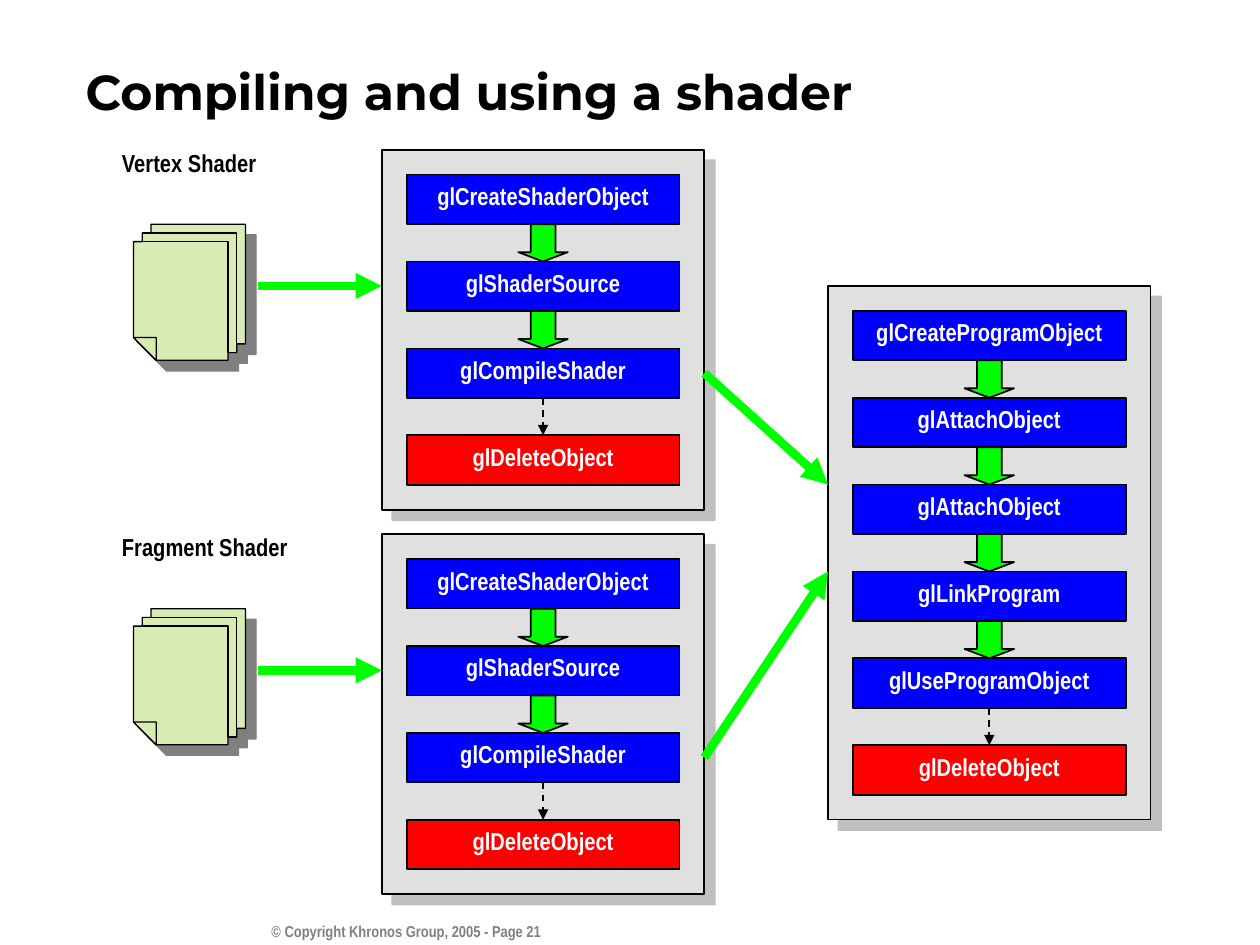
"""Build the slide on compiling and using a shader."""
from copy import deepcopy

from lxml import etree
from pptx import Presentation
from pptx.dml.color import RGBColor
from pptx.enum.dml import MSO_LINE
from pptx.enum.shapes import MSO_CONNECTOR, MSO_SHAPE
from pptx.enum.text import MSO_ANCHOR, PP_ALIGN
from pptx.oxml.ns import qn
from pptx.util import Pt

RECT, DOWN_ARROW = MSO_SHAPE.RECTANGLE, MSO_SHAPE.DOWN_ARROW
STRAIGHT, DASH = MSO_CONNECTOR.STRAIGHT, MSO_LINE.DASH
LEFT, CENTER, RIGHT = PP_ALIGN.LEFT, PP_ALIGN.CENTER, PP_ALIGN.RIGHT
TOP, MIDDLE = MSO_ANCHOR.TOP, MSO_ANCHOR.MIDDLE

COLORS = {
    "panel": "E0E0E0", "call": "0000FF", "delete": "FF0000", "flow": "00FF00",
    "paper": "D8EBB3", "black": "000000", "white": "FFFFFF", "gray": "808080",
}
TITLE = "Compiling and using a shader"
FOOTER = "© Copyright Khronos Group, 2005 - Page 21"
SHADER_CALLS = ["glCreateShaderObject", "glShaderSource", "glCompileShader", "glDeleteObject"]
PROGRAM_CALLS = ["glCreateProgramObject", "glAttachObject", "glAttachObject",
                 "glLinkProgram", "glUseProgramObject", "glDeleteObject"]
SHADERS = [("Vertex Shader", 85.6, 2), ("Fragment Shader", 305.3, 3)]
SHEETS = [
    [(0, 64.8), (0, 10), (5, 10), (5, 5), (10, 5), (10, 0), (64, 0), (64, 68.4),
     (59, 68.4), (59, 73.4), (54, 73.4), (54, 77.8), (13, 77.8)],
    [(10.8, 5), (59, 5), (59, 73.4), (54, 73.4), (54, 10), (5, 10), (5, 5)],
    [(0, 64.8), (13, 64.8), (13, 77.8)],
]

SHADER_X, PROGRAM_X, PROGRAM_Y = 218.2, 473.2, 163.4
PANEL_W, PAD, BOX_H, STEP = 184.3, 14.2, 28.3, 49.65
LABEL_X, SHEET_X, SHEET_DY = 62.6, 76.3, 42.5
SOURCE_X, SOURCE_DY = 147.6, 77.8
ARROW_W = 28.3


def rgb(name):
    return RGBColor.from_string(COLORS[name])


def set_text(s, text, size=14, font="Arial Narrow", color="black", align=LEFT,
             anchor=TOP, spacing=None):
    tf = s.text_frame
    tf.word_wrap = True
    tf.vertical_anchor = anchor
    p = tf.paragraphs[0]
    p.alignment = align
    p.line_spacing = spacing
    r = p.add_run()
    r.text = text
    r.font.size, r.font.name, r.font.bold = Pt(size), font, True
    r.font.color.rgb = rgb(color)


def add_text(slide, text, x, y, w, h, **fmt):
    set_text(slide.shapes.add_textbox(Pt(x), Pt(y), Pt(w), Pt(h)), text, **fmt)


def paint(s, fill, width=1, shadow=None):
    s.fill.solid()
    s.fill.fore_color.rgb = rgb(fill)
    s.line.color.rgb = rgb("black")
    s.line.width = Pt(width)
    s.shadow.inherit = False
    if shadow:
        effects = s._element.spPr.find(qn("a:effectLst"))
        outer = etree.SubElement(effects, qn("a:outerShdw"), dist=str(Pt(8.5)),
                                 dir="2700000", algn="ctr", rotWithShape="0")
        clr = etree.SubElement(outer, qn("a:srgbClr"), val=COLORS["gray"])
        etree.SubElement(clr, qn("a:alpha"), val=str(shadow * 1000))


def add_shape(slide, kind, x, y, w, h, fill, shadow=None):
    s = slide.shapes.add_shape(kind, Pt(x), Pt(y), Pt(w), Pt(h))
    paint(s, fill, shadow=shadow)
    return s


def add_arrow(slide, x1, y1, x2, y2, color="flow", width=5, dash=None):
    s = slide.shapes.add_connector(STRAIGHT, Pt(x1), Pt(y1), Pt(x2), Pt(y2))
    s.line.color.rgb = rgb(color)
    s.line.width = Pt(width)
    if dash:
        s.line.dash_style = dash
    sp = s._element.spPr
    etree.SubElement(sp.find(qn("a:ln")), qn("a:tailEnd"), type="triangle")
    etree.SubElement(sp, qn("a:effectLst"))


def add_panel(slide, x, y, calls):
    height = 2 * PAD + (len(calls) - 1) * STEP + BOX_H
    add_shape(slide, RECT, x, y, PANEL_W, height, "panel", shadow=50)
    mid, last = x + PANEL_W / 2, len(calls) - 1
    for i, call in enumerate(calls):
        top = y + PAD + i * STEP
        s = add_shape(slide, RECT, x + PAD, top, PANEL_W - 2 * PAD, BOX_H,
                      "delete" if i == last else "call")
        set_text(s, call, color="white", align=CENTER, anchor=MIDDLE, spacing=0.7)
        bottom = top + BOX_H
        if i < last - 1:
            s = add_shape(slide, DOWN_ARROW, mid - ARROW_W / 2, bottom,
                          ARROW_W, STEP - BOX_H, "flow")
            s.adjustments[1] = 0.25
        elif i < last:
            add_arrow(slide, mid, bottom, mid, top + STEP, "black", 1, DASH)


def add_sheets(slide, x, y):
    outlines = [[(Pt(x + dx), Pt(y + dy)) for dx, dy in points] for points in SHEETS]
    builder = slide.shapes.build_freeform(*outlines[0][0])
    builder.add_line_segments(outlines[0][1:])
    for points in outlines[1:]:
        builder.move_to(*points[0])
        builder.add_line_segments(points[1:])
    s = builder.convert_to_shape()
    paint(s, "paper", 0.75, shadow=100)
    joined = s._element.spPr.find(".//" + qn("a:path"))
    blank = deepcopy(joined)
    for step in list(blank):
        blank.remove(step)
    paths = joined.getparent()
    for step in list(joined):
        if step.tag == qn("a:moveTo"):
            part = deepcopy(blank)
            paths.append(part)
        part.append(step)
    paths.remove(joined)


def main():
    prs = Presentation()
    prs.slide_width, prs.slide_height = Pt(720), Pt(540)
    slide = prs.slides.add_slide(prs.slide_layouts[6])
    add_text(slide, FOOTER, 144, 523.4, 172.1, 23.8, size=9, color="gray", align=RIGHT)
    add_text(slide, TITLE, 41.8, 36.7, 674.6, 30.2, size=28, font="Montserrat", anchor=MIDDLE)
    add_panel(slide, PROGRAM_X, PROGRAM_Y, PROGRAM_CALLS)
    for label, y, target in SHADERS:
        add_panel(slide, SHADER_X, y, SHADER_CALLS)
        add_text(slide, label, LABEL_X, y, 120, 19.4, spacing=0.7)
        add_sheets(slide, SHEET_X, y + SHEET_DY)
        add_arrow(slide, SOURCE_X, y + SOURCE_DY, SHADER_X, y + SOURCE_DY)
        add_arrow(slide, SHADER_X + PANEL_W, y + PAD + 2 * STEP + BOX_H / 2,
                  PROGRAM_X, PROGRAM_Y + PAD + target * STEP)
    prs.save("out.pptx")


if __name__ == "__main__":
    main()
